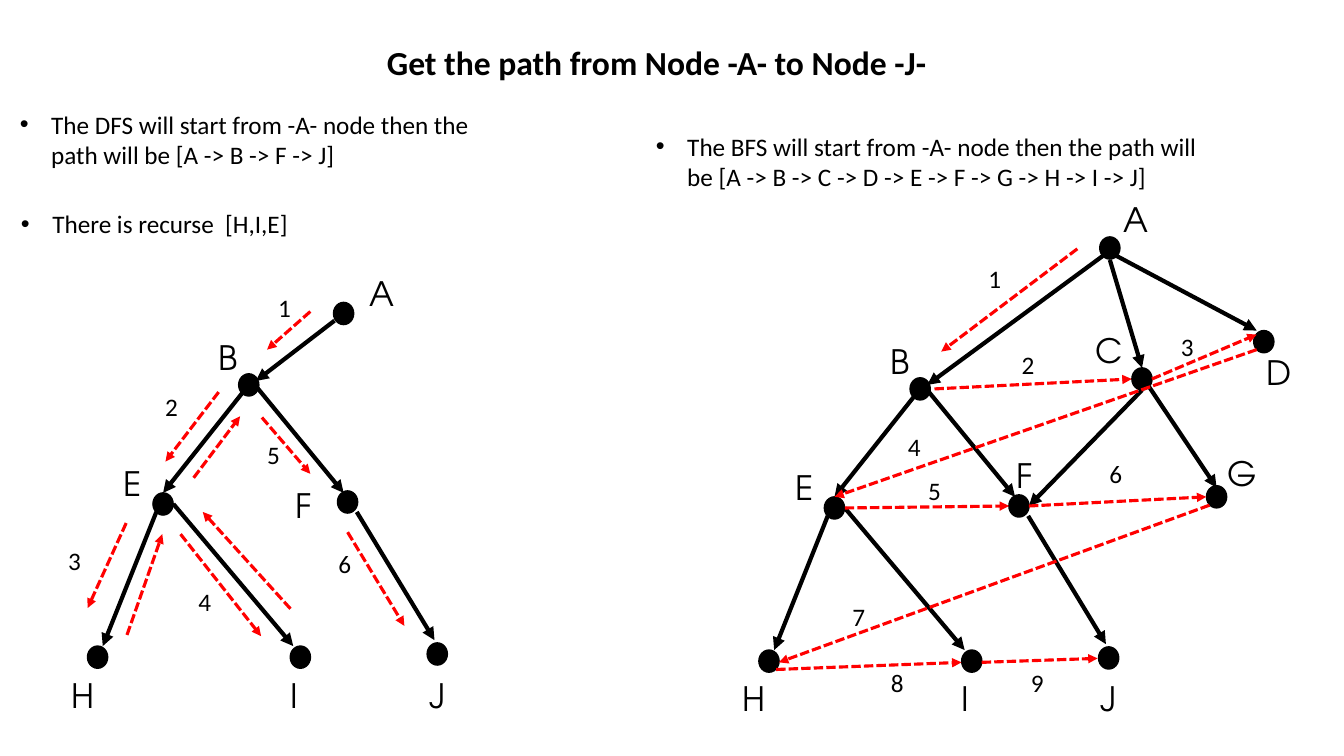
from lxml import etree
from pptx import Presentation
from pptx.dml.color import RGBColor
from pptx.enum.dml import MSO_LINE
from pptx.enum.shapes import MSO_CONNECTOR, MSO_SHAPE
from pptx.oxml.ns import qn
from pptx.util import Cm, Pt

BLACK = RGBColor(0, 0, 0)
RED = RGBColor(255, 0, 0)
DASH = MSO_LINE.SQUARE_DOT
STRAIGHT = MSO_CONNECTOR.STRAIGHT
OVAL = MSO_SHAPE.OVAL
BODY_FONT = "Calibri"
NODE_FONT = "TeX Gyre Adventor"
NODE_W, NODE_H = 0.51, 0.56


def add_text(text, left, top, width, height, size, font=BODY_FONT, bold=False):
    """Add a one-run text box, lengths in cm, and return its paragraph."""
    frame = slide.shapes.add_textbox(Cm(left), Cm(top), Cm(width), Cm(height)).text_frame
    frame.word_wrap = True
    paragraph = frame.paragraphs[0]
    run = paragraph.add_run()
    run.text = text
    run.font.name = font
    run.font.size = Pt(size)
    run.font.bold = bold
    run.font.color.rgb = BLACK
    return paragraph


def add_arrow(x1, y1, x2, y2, color, width):
    """Add an arrow between two points in cm and return its line format."""
    arrow = slide.shapes.add_connector(STRAIGHT, Cm(x1), Cm(y1), Cm(x2), Cm(y2))
    arrow.line.color.rgb = color
    arrow.line.width = Pt(width)
    properties = arrow._element.spPr
    etree.SubElement(properties.find(qn("a:ln")), qn("a:tailEnd"), type="triangle")
    etree.SubElement(properties, qn("a:effectLst"))
    return arrow.line


prs = Presentation()
prs.slide_width, prs.slide_height = Cm(33.87), Cm(19.05)
slide = prs.slides.add_slide(prs.slide_layouts[6])

add_text("Get the path from Node -A- to Node -J-", 9.5, 0.94, 15.42, 1.27, 24, bold=True)

remarks = [
    ("The DFS will start from -A- node then the path will be [A -> B -> F -> J]",
     0.25, 2.62, 12.95, 1.8),
    ("There is recurse  [H,I,E]", 0.28, 5.13, 7.32, 1.02),
    ("The BFS will start from -A- node then the path will be "
     "[A -> B -> C -> D -> E -> F -> G -> H -> I -> J]", 16.28, 3.18, 14.2, 1.8),
]
for text, left, top, width, height in remarks:
    bullet = add_text(text, left, top, width, height, 18)._p.get_or_add_pPr()
    bullet.set("marL", str(Cm(0.79)))
    bullet.set("indent", str(-Cm(0.79)))
    etree.SubElement(bullet, qn("a:buFont"), typeface="Arial")
    etree.SubElement(bullet, qn("a:buChar"), char="•")

# The subtree below B is the same in both graphs, moved by a fixed offset.
# Nodes are centres, labels are top left corners, edges are x1, y1, x2, y2.
subtree_nodes = [(6.27, 9.7), (4.11, 12.7), (8.76, 12.65),
                 (2.46, 16.56), (7.57, 16.56), (11.02, 16.48)]
subtree_labels = [("B", 5.26, 8.36), ("E", 2.87, 11.53), ("H", 1.55, 16.87),
                  ("I", 7.06, 16.87), ("J", 10.57, 16.87)]
subtree_edges = [(6.1, 9.91, 4.11, 12.42), (6.45, 9.73, 8.66, 12.42),
                 (3.94, 12.9, 2.59, 16.28), (4.37, 12.7, 7.39, 16.28),
                 (8.99, 12.9, 10.95, 16.13)]

dfs = {
    "offset": (0, 0),
    "nodes": [(8.66, 7.9)],
    "labels": [("A", 9.07, 6.76), ("F", 7.21, 12.09)],
    "edges": [(8.43, 8.08, 6.45, 9.6)],
    "steps": [(7.82, 7.85, 6.73, 8.81), (5.51, 9.88, 4.17, 11.63),
              (3.18, 13.18, 2.21, 15.32), (3.2, 16, 4.09, 13.46),
              (4.55, 13.46, 6.58, 16.03), (7.32, 15.34, 5.11, 12.9),
              (4.88, 12.04, 6.05, 10.49), (6.6, 10.52, 7.82, 11.94),
              (8.76, 13.41, 10.19, 15.77)],
    "numbers": [(6.76, 7.24), (3.91, 9.73), (1.47, 13.61),
                (4.75, 14.66), (6.48, 10.95), (8.28, 13.69)],
}
bfs = {
    "offset": (16.92, 0.1),
    "nodes": [(27.97, 6.25), (28.78, 9.55), (31.85, 8.61), (30.66, 12.52)],
    "labels": [("A", 28.07, 4.88), ("C", 27.36, 8.18), ("D", 31.67, 8.74),
               ("F", 25.37, 11.35), ("G", 30.68, 11.3)],
    "edges": [(27.79, 6.45, 23.37, 9.7), (27.97, 6.55, 28.78, 9.27),
              (28.14, 6.45, 31.67, 8.33), (28.78, 9.83, 25.93, 12.75),
              (28.96, 9.75, 30.66, 12.29)],
    "steps": [(27.15, 6.27, 23.72, 8.86), (23.55, 9.8, 28.52, 9.55),
              (29.03, 9.55, 31.67, 8.43), (31.67, 8.81, 21.03, 12.52),
              (21.29, 12.8, 25.43, 12.75), (25.93, 12.75, 30.4, 12.52),
              (30.48, 12.73, 19.63, 16.69), (19.56, 16.87, 24.23, 16.69),
              (24.74, 16.69, 27.66, 16.59)],
    "numbers": [(24.66, 6.5), (25.5, 8.69), (29.51, 8.23),
                (22.63, 10.74), (23.14, 11.86), (27.71, 11.43),
                (21.23, 15.04), (22.2, 16.69), (25.73, 16.69)],
}

for graph in (dfs, bfs):
    dx, dy = graph["offset"]
    nodes = graph["nodes"] + [(x + dx, y + dy) for x, y in subtree_nodes]
    labels = graph["labels"] + [(name, x + dx, y + dy) for name, x, y in subtree_labels]
    edges = graph["edges"] + [(x1 + dx, y1 + dy, x2 + dx, y2 + dy)
                              for x1, y1, x2, y2 in subtree_edges]
    for edge in edges:
        add_arrow(*edge, BLACK, 3)
    for x, y in nodes:
        node = slide.shapes.add_shape(OVAL, Cm(x - NODE_W / 2), Cm(y - NODE_H / 2),
                                      Cm(NODE_W), Cm(NODE_H))
        node.shadow.inherit = False
        node.fill.solid()
        node.fill.fore_color.rgb = BLACK
        node.line.color.rgb = BLACK
        node.line.width = Pt(1)
    for name, x, y in labels:
        add_text(name, x, y, 1.04, 1.32, 24, NODE_FONT)
    for step in graph["steps"]:
        add_arrow(*step, RED, 2.25).dash_style = DASH
    for number, (x, y) in enumerate(graph["numbers"], 1):
        add_text(str(number), x, y, 0.76, 1.02, 18)

prs.save("out.pptx")
